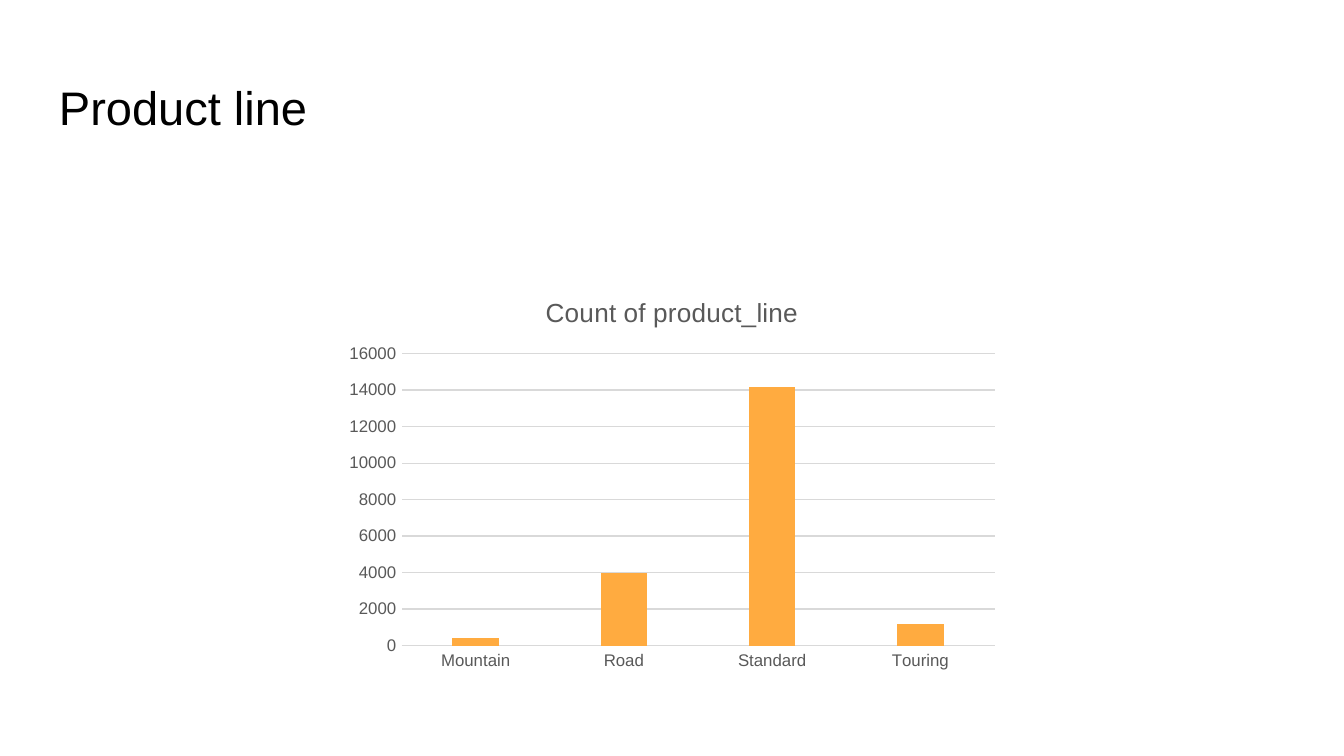
import pptx
import pptx.chart.data
import pptx.dml.color
import pptx.enum.chart
import pptx.enum.text
import pptx.util

Pt = pptx.util.Pt
FONT = "Arial"
COLORS = {
    "heading": "000000",
    "label": "595959",
    "grid": "D9D9D9",
    "bar": "FFAB40",
}
LINE_COUNTS = {"Mountain": 400, "Road": 4000, "Standard": 14200, "Touring": 1200}


def rgb(name):
    return pptx.dml.color.RGBColor.from_string(COLORS[name])


def style_font(font, size, color):
    font.name = FONT
    font.size = Pt(size)
    font.bold = False
    font.color.rgb = rgb(color)


def style_grid_line(line):
    line.color.rgb = rgb("grid")
    line.width = Pt(0.75)


def style_axis(axis):
    no_mark = pptx.enum.chart.XL_TICK_MARK.NONE
    axis.major_tick_mark = no_mark
    axis.minor_tick_mark = no_mark
    style_font(axis.tick_labels.font, 9, "label")


def add_heading(slide, text, left, top, width, height):
    heading = slide.shapes.add_textbox(Pt(left), Pt(top), Pt(width), Pt(height))
    frame = heading.text_frame
    frame.word_wrap = True
    frame.margin_left = frame.margin_right = Pt(7.2)
    frame.margin_top = frame.margin_bottom = Pt(7.2)
    frame.vertical_anchor = pptx.enum.text.MSO_ANCHOR.TOP
    frame.text = text
    style_font(frame.paragraphs[0].runs[0].font, 25.2, "heading")


def add_count_chart(slide, title, counts, left, top, width, height):
    count_data = pptx.chart.data.CategoryChartData(number_format="General")
    count_data.categories = list(counts)
    count_data.add_series("Series 1", list(counts.values()))
    chart = slide.shapes.add_chart(
        pptx.enum.chart.XL_CHART_TYPE.COLUMN_CLUSTERED,
        Pt(left), Pt(top), Pt(width), Pt(height), count_data,
    ).chart
    style_font(chart.font, 10, "heading")
    chart.has_legend = False
    chart.has_title = True
    chart.chart_title.include_in_layout = False
    chart.chart_title.text_frame.text = title
    style_font(chart.chart_title.text_frame.paragraphs[0].runs[0].font, 14, "label")

    style_axis(chart.category_axis)
    style_grid_line(chart.category_axis.format.line)
    counts_axis = chart.value_axis
    style_axis(counts_axis)
    counts_axis.format.line.fill.background()
    counts_axis.minimum_scale = 0
    counts_axis.maximum_scale = 16000
    counts_axis.major_unit = 2000
    counts_axis.has_major_gridlines = True
    style_grid_line(counts_axis.major_gridlines.format.line)

    columns = chart.plots[0]
    columns.vary_by_categories = False
    columns.gap_width = 219
    columns.overlap = -27
    bars = columns.series[0]
    bars.invert_if_negative = False
    bars.format.fill.solid()
    bars.format.fill.fore_color.rgb = rgb("bar")


def main():
    presentation = pptx.Presentation()
    presentation.slide_width = Pt(720)
    presentation.slide_height = Pt(405)
    slide = presentation.slides.add_slide(presentation.slide_layouts[6])
    add_heading(slide, "Product line", 24.5, 35, 671, 45)
    add_count_chart(slide, "Count of product_line", LINE_COUNTS, 180, 147.6, 360, 216)
    presentation.save("out.pptx")


main()
